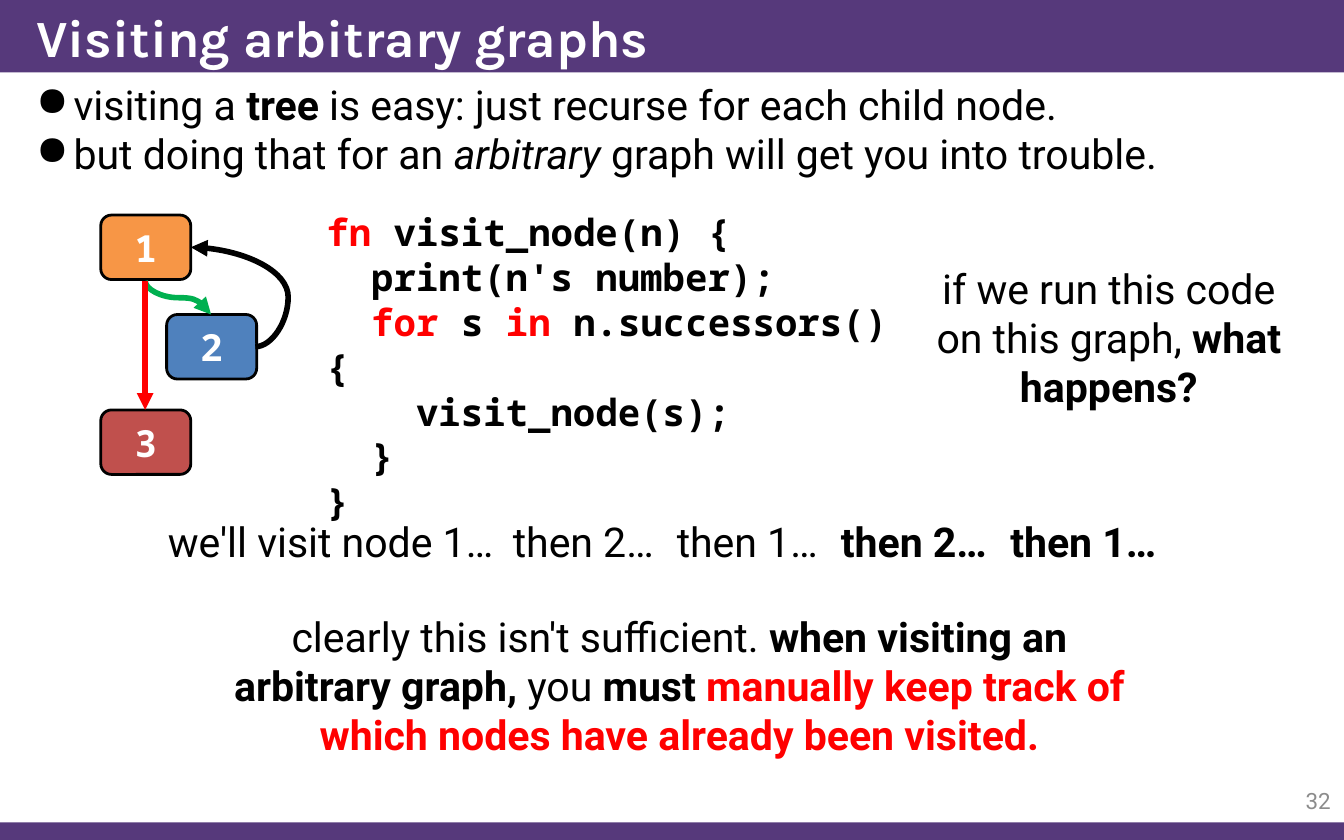
from dataclasses import dataclass

from lxml import etree
from pptx import Presentation
from pptx.dml.color import RGBColor
from pptx.enum.shapes import MSO_CONNECTOR, MSO_SHAPE
from pptx.enum.text import MSO_ANCHOR, MSO_AUTO_SIZE, PP_ALIGN
from pptx.oxml.ns import qn
from pptx.util import Inches, Pt

LEFT, CENTER, RIGHT = PP_ALIGN.LEFT, PP_ALIGN.CENTER, PP_ALIGN.RIGHT
TOP, MIDDLE = MSO_ANCHOR.TOP, MSO_ANCHOR.MIDDLE
RECT, ROUNDED = MSO_SHAPE.RECTANGLE, MSO_SHAPE.ROUNDED_RECTANGLE
STRAIGHT, CURVE = MSO_CONNECTOR.STRAIGHT, MSO_CONNECTOR.CURVE


@dataclass(frozen=True)
class Theme:
    """Colours, fonts and type sizes of the deck."""
    purple: str = "56397B"
    white: str = "FFFFFF"
    black: str = "000000"
    grey: str = "8C8C8C"
    orange: str = "F79646"
    blue: str = "4F81BD"
    brick: str = "C0504D"
    green: str = "00B050"
    red: str = "FF0000"
    heading: str = "Karla"
    sans: str = "Roboto"
    mono: str = "Noto Sans Mono"
    title_size: int = 28
    body_size: int = 22
    code_size: int = 20
    number_size: int = 12


T = Theme()
TITLE = {"name": T.heading, "size": T.title_size, "color": T.white, "bold": True}
BODY = {"name": T.sans, "size": T.body_size, "color": T.black}
CODE = {"name": T.mono, "size": T.code_size, "color": T.black, "bold": True}
NUMBER = {"name": T.sans, "size": T.number_size, "color": T.grey}
BOLD, ITALIC, RED = {"bold": True}, {"italic": True}, {"color": T.red}


def rgb(value):
    """Turn a hex string into a colour."""
    return RGBColor.from_string(value)


def format_font(font, style):
    """Apply a dict of format values to a font."""
    for key, value in style.items():
        if key == "color":
            font.color.rgb = rgb(value)
        else:
            setattr(font, key, Pt(value) if key == "size" else value)


def add_bullet(p):
    """Give a paragraph a round bullet with a hanging indent."""
    pPr = p._p.get_or_add_pPr()
    pPr.set("marL", str(Inches(0.28)))
    pPr.set("indent", str(Inches(-0.28)))
    etree.SubElement(pPr, qn("a:buChar")).set("char", "●")


def write(tf, paragraphs, style, align=LEFT, anchor=TOP, bullets=False):
    """Fill a text frame with paragraphs of (text, style changes) runs."""
    tf.word_wrap = True
    tf.auto_size = MSO_AUTO_SIZE.NONE
    tf.vertical_anchor = anchor
    for i, runs in enumerate(paragraphs):
        p = tf.add_paragraph() if i else tf.paragraphs[0]
        p.alignment = align
        if bullets:
            add_bullet(p)
        for text, changes in runs:
            r = p.add_run()
            r.text = text
            format_font(r.font, {**style, **changes})


def add_text(s, box, paragraphs, style, **layout):
    """Add a text box."""
    tb = s.shapes.add_textbox(*map(Inches, box))
    write(tb.text_frame, paragraphs, style, **layout)


def add_block(s, kind, box, fill, outline=None):
    """Add a filled shape, outlined if a line colour is given."""
    sp = s.shapes.add_shape(kind, *map(Inches, box))
    sp.shadow.inherit = False
    sp.fill.solid()
    sp.fill.fore_color.rgb = rgb(fill)
    if outline:
        sp.line.color.rgb = rgb(outline)
        sp.line.width = Pt(1.5)
    else:
        sp.line.fill.background()
    return sp


def add_node(s, label, left, top, fill):
    """Add one numbered graph node."""
    sp = add_block(s, ROUNDED, (left, top, 0.67, 0.48), fill, T.black)
    write(sp.text_frame, [[(label, {"color": T.white})]], CODE,
          align=CENTER, anchor=MIDDLE)


def add_edge(s, kind, start, end, color, turn=0, bend=None):
    """Add an arrow, optionally turned in degrees or bent outwards."""
    cx = s.shapes.add_connector(kind, *map(Inches, (*start, *end)))
    cx.line.color.rgb = rgb(color)
    cx.line.width = Pt(3)
    ln = cx.line._get_or_add_ln()
    etree.SubElement(ln, qn("a:tailEnd")).set("type", "triangle")
    spPr = cx._element.spPr
    etree.SubElement(spPr, qn("a:effectLst"))
    if turn:
        spPr.find(qn("a:xfrm")).set("rot", str(turn * 60000))
    if bend is not None:
        guides = spPr.find(qn("a:prstGeom")).get_or_add_avLst()
        gd = etree.SubElement(guides, qn("a:gd"))
        gd.set("name", "adj1")
        gd.set("fmla", f"val {round(bend * 100000)}")


def add_frame(s):
    """Add the purple bars, the title and the slide number."""
    bars = [add_block(s, RECT, box, T.purple)
            for box in ((0, 6.12, 10, 0.13), (0, 0, 10, 0.54))]
    title = s.shapes.title
    title.left, title.top, title.width, title.height = map(
        Inches, (0.17, 0, 9.83, 0.54))
    write(title.text_frame, [[("Visiting arbitrary graphs", {})]], TITLE,
          anchor=MIDDLE)
    bars[-1]._element.addnext(title._element)
    add_text(s, (9.25, 5.79, 0.75, 0.33), [[("32", {})]], NUMBER,
             align=RIGHT, anchor=MIDDLE)


def add_graph(s):
    """Add the three nodes and the arrows between them."""
    for node in (("1", 0.75, 1.6, T.orange), ("2", 1.24, 2.34, T.blue),
                 ("3", 0.75, 3.05, T.brick)):
        add_node(s, *node)
    add_edge(s, CURVE, (1.45, 1.97), (1.2, 2.46), T.green, turn=270)
    add_edge(s, CURVE, (1.9, 2.58), (1.42, 1.84), T.black, bend=-0.51)
    add_edge(s, STRAIGHT, (1.08, 2.09), (1.08, 3.05), T.red)


def add_code(s):
    """Add the recursive function."""
    add_text(s, (2.33, 1.51, 4.42, 2.12), [
        [("fn ", RED), ("visit_node(n) {", {})],
        [("  print(n's number);", {})],
        [("  for", RED), (" s ", {}), ("in ", RED), ("n.successors() {", {})],
        [("    visit_node(s);", {})],
        [("  }", {})],
        [("}", {})],
    ], CODE)


def add_visits(s):
    """Add the row that traces the visiting order."""
    for left, width, text, changes in (
            (1.05, 2.82, "we'll visit node 1…", {}),
            (3.62, 1.44, "then 2…", {}), (4.84, 1.44, "then 1…", {}),
            (6.08, 1.44, "then 2…", BOLD), (7.34, 1.44, "then 1…", BOLD)):
        add_text(s, (left, 3.79, width, 0.47), [[(text, changes)]], BODY,
                 align=CENTER)


def main():
    """Build the slide and save it."""
    prs = Presentation()
    prs.slide_width, prs.slide_height = Inches(10), Inches(6.25)
    s = prs.slides.add_slide(prs.slide_layouts[5])
    add_frame(s)
    add_text(s, (0.17, 0.54, 9.83, 0.92), [
        [("visiting a ", {}), ("tree", BOLD),
         (" is easy: just recurse for each child node.", {})],
        [("but doing that for an ", {}), ("arbitrary", ITALIC),
         (" graph will get you into trouble.", {})],
    ], BODY, bullets=True)
    add_graph(s)
    add_code(s)
    add_text(s, (6.84, 1.91, 2.82, 1.21), [
        [("if we run this code on this graph, ", {}), ("what happens?", BOLD)],
    ], BODY, align=CENTER)
    add_visits(s)
    add_text(s, (1.45, 4.5, 7.21, 1.21), [
        [("clearly this isn't sufficient. ", {}),
         ("when visiting an arbitrary graph, ", BOLD), ("you ", {}),
         ("must ", BOLD),
         ("manually keep track of which nodes have already been visited.",
          {**BOLD, **RED})],
    ], BODY, align=CENTER)
    prs.save("out.pptx")


if __name__ == "__main__":
    main()
